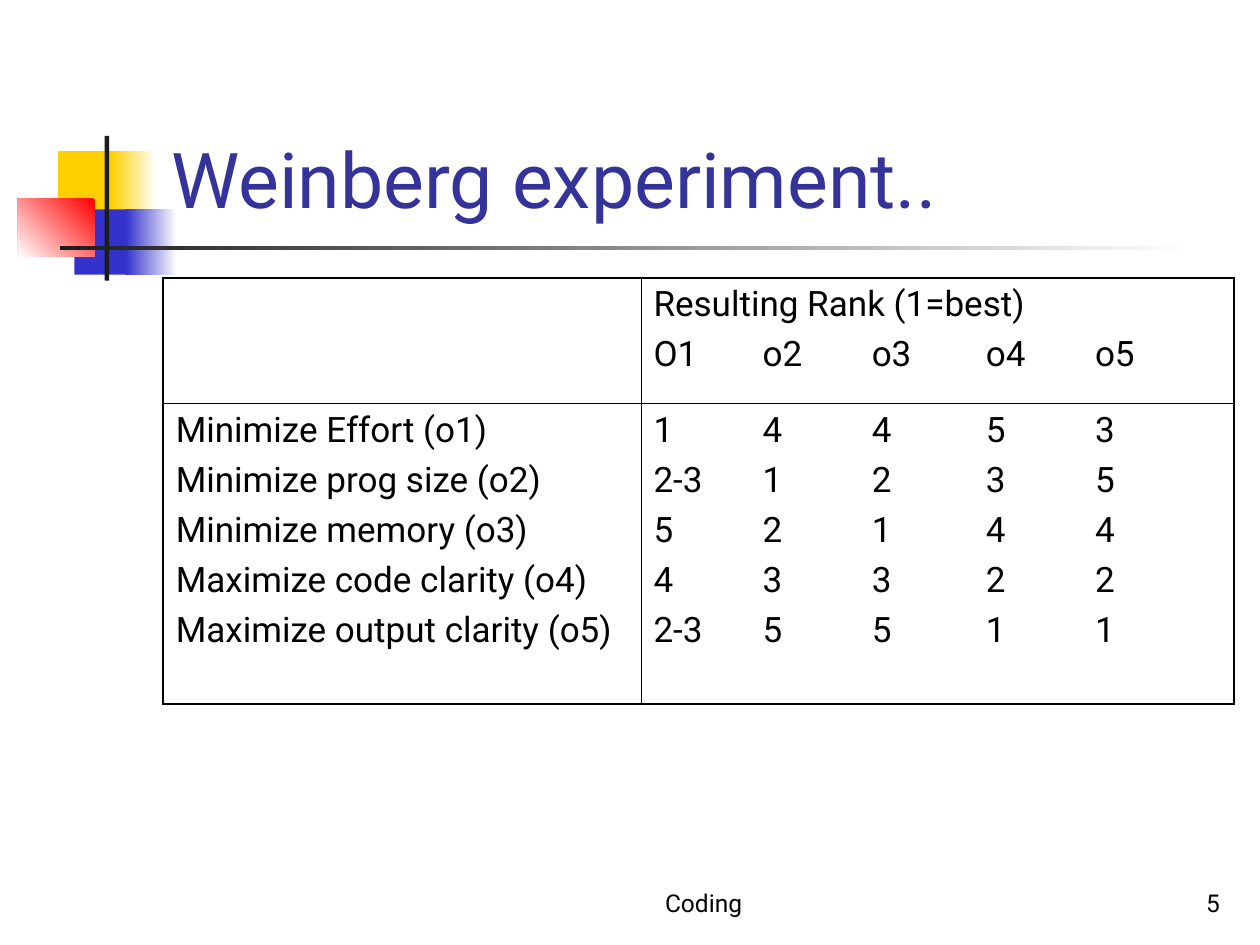
from dataclasses import dataclass, field
from typing import Any

import lxml.etree
import pptx
import pptx.dml.color
import pptx.enum.shapes
import pptx.enum.text
import pptx.oxml.ns
import pptx.util

Cm = pptx.util.Cm
Pt = pptx.util.Pt
qn = pptx.oxml.ns.qn
Align = pptx.enum.text.PP_ALIGN


@dataclass(frozen=True)
class Theme:
    font: str = "Roboto"
    title_size: int = 44
    table_size: int = 20
    footer_size: int = 14
    title: str = "333399"
    text: str = "000000"
    white: str = "FFFFFF"
    yellow: str = "FFCF01"
    blue: str = "3333CC"
    red: str = "FF0000"
    dark: str = "1C1C1C"
    outer_border: float = 1.08
    inner_border: float = 0.45


def rgb(value):
    return pptx.dml.color.RGBColor.from_string(value)


def apply_format(target, values):
    for name, value in values.items():
        setattr(target, name, value)


def lengths(box):
    return [Cm(value) for value in box]


@dataclass
class SlideBuilder:
    slide: Any
    theme: Theme = field(default_factory=Theme)

    def add_text(self, para, text, size, color, **para_format):
        span = para.add_run()
        span.text = text
        apply_format(span.font, {"name": self.theme.font, "size": Pt(size)})
        span.font.color.rgb = rgb(color)
        apply_format(para, para_format)

    def bar(self, box, start, end=None, angle=180):
        """Add a borderless rectangle; with end, fade clockwise from start."""
        shape = self.slide.shapes.add_shape(
            pptx.enum.shapes.MSO_SHAPE.RECTANGLE, *lengths(box))
        shape.shadow.inherit = False
        shape.line.fill.background()
        if end is None:
            shape.fill.solid()
            shape.fill.fore_color.rgb = rgb(start)
            return
        shape.fill.gradient()
        shape.fill.gradient_angle = 360 - angle
        for stop, color in zip(shape.fill.gradient_stops, (start, end)):
            stop.color.rgb = rgb(color)

    def title(self, text, box):
        shape = self.slide.shapes.title
        apply_format(shape, dict(zip(("left", "top", "width", "height"), lengths(box))))
        apply_format(shape.text_frame, {
            "vertical_anchor": pptx.enum.text.MSO_ANCHOR.BOTTOM,
            "auto_size": pptx.enum.text.MSO_AUTO_SIZE.NONE,
        })
        self.add_text(shape.text_frame.paragraphs[0], text, self.theme.title_size,
                      self.theme.title, alignment=Align.LEFT)

    def footer(self, text, box, alignment):
        frame = self.slide.shapes.add_textbox(*lengths(box)).text_frame
        apply_format(frame, {
            "word_wrap": True,
            "vertical_anchor": pptx.enum.text.MSO_ANCHOR.BOTTOM,
        })
        self.add_text(frame.paragraphs[0], text, self.theme.footer_size,
                      self.theme.text, alignment=alignment)

    def tab_stops(self, para, stops):
        tabs = lxml.etree.SubElement(para._p.get_or_add_pPr(), qn("a:tabLst"))
        for stop in stops:
            lxml.etree.SubElement(tabs, qn("a:tab"), pos=str(Cm(stop)), algn="l")

    def borders(self, cell, outer_sides):
        properties = cell._tc.get_or_add_tcPr()
        for side in "LRTB":
            width = self.theme.outer_border if side in outer_sides else self.theme.inner_border
            line = lxml.etree.SubElement(properties, qn(f"a:ln{side}"), w=str(Pt(width)))
            fill = lxml.etree.SubElement(line, qn("a:solidFill"))
            lxml.etree.SubElement(fill, qn("a:srgbClr"), val=self.theme.text)

    def table(self, left, top, widths, heights, contents, stops):
        """Add a table; contents holds rows of cells, each a list of lines."""
        box = (left, top, sum(widths), sum(heights))
        table = self.slide.shapes.add_table(
            len(heights), len(widths), *lengths(box)).table
        apply_format(table, {"first_row": False, "horz_banding": False})
        for column, width in zip(table.columns, widths):
            column.width = Cm(width)
        for row, height in zip(table.rows, heights):
            row.height = Cm(height)
        for r, row in enumerate(contents):
            for c, lines in enumerate(row):
                cell = table.cell(r, c)
                outer = {"L": c == 0, "R": c == len(widths) - 1,
                         "T": r == 0, "B": r == len(heights) - 1}
                self.borders(cell, [side for side, is_outer in outer.items() if is_outer])
                cell.fill.background()
                for index, line in enumerate(lines):
                    frame = cell.text_frame
                    para = frame.add_paragraph() if index else frame.paragraphs[0]
                    self.add_text(para, line, self.theme.table_size, self.theme.text,
                                  space_before=Pt(5))
                    if "\t" in line:
                        self.tab_stops(para, stops)


RANKS = {
    "Minimize Effort (o1)": ("1", "4", "4", "5", "3"),
    "Minimize prog size (o2)": ("2-3", "1", "2", "3", "5"),
    "Minimize memory (o3)": ("5", "2", "1", "4", "4"),
    "Maximize code clarity (o4)": ("4", "3", "3", "2", "2"),
    "Maximize output clarity (o5)": ("2-3", "5", "5", "1", "1"),
}
OBJECTIVES = ("O1", "o2", "o3", "o4", "o5")

deck = pptx.Presentation()
apply_format(deck, {"slide_width": Cm(25.4), "slide_height": Cm(19.05)})
page = SlideBuilder(deck.slides.add_slide(deck.slide_layouts[5]))
theme = page.theme

page.bar((1.17, 3.05, 1.22, 1.32), theme.yellow)
page.bar((2.24, 3.05, 0.91, 1.32), theme.white, theme.yellow)
page.bar((1.5, 4.22, 1.17, 1.32), theme.blue)
page.bar((2.54, 4.22, 1.02, 1.32), theme.white, theme.blue)
page.bar((0.36, 4.01, 1.55, 1.17), theme.red, theme.white, angle=135)
page.bar((2.11, 2.74, 0.09, 2.92), theme.dark)
page.bar((1.22, 4.95, 22.86, 0.09), theme.white, theme.dark)

page.title("Weinberg experiment..", (3.2, 0.58, 21.64, 4.06))
page.table(
    left=3.29, top=5.6, widths=(9.63, 11.96), heights=(2.54, 6.05),
    contents=[
        [[], ["Resulting Rank (1=best)", "\t".join(OBJECTIVES)]],
        [list(RANKS), ["\t".join(ranks) for ranks in RANKS.values()]],
    ],
    stops=(2.2, 4.4, 6.7, 8.9),
)
page.footer("Coding", (10.16, 17.35, 8.05, 1.27), Align.CENTER)
page.footer("5", (19.56, 17.35, 5.28, 1.27), Align.RIGHT)

deck.save("out.pptx")
